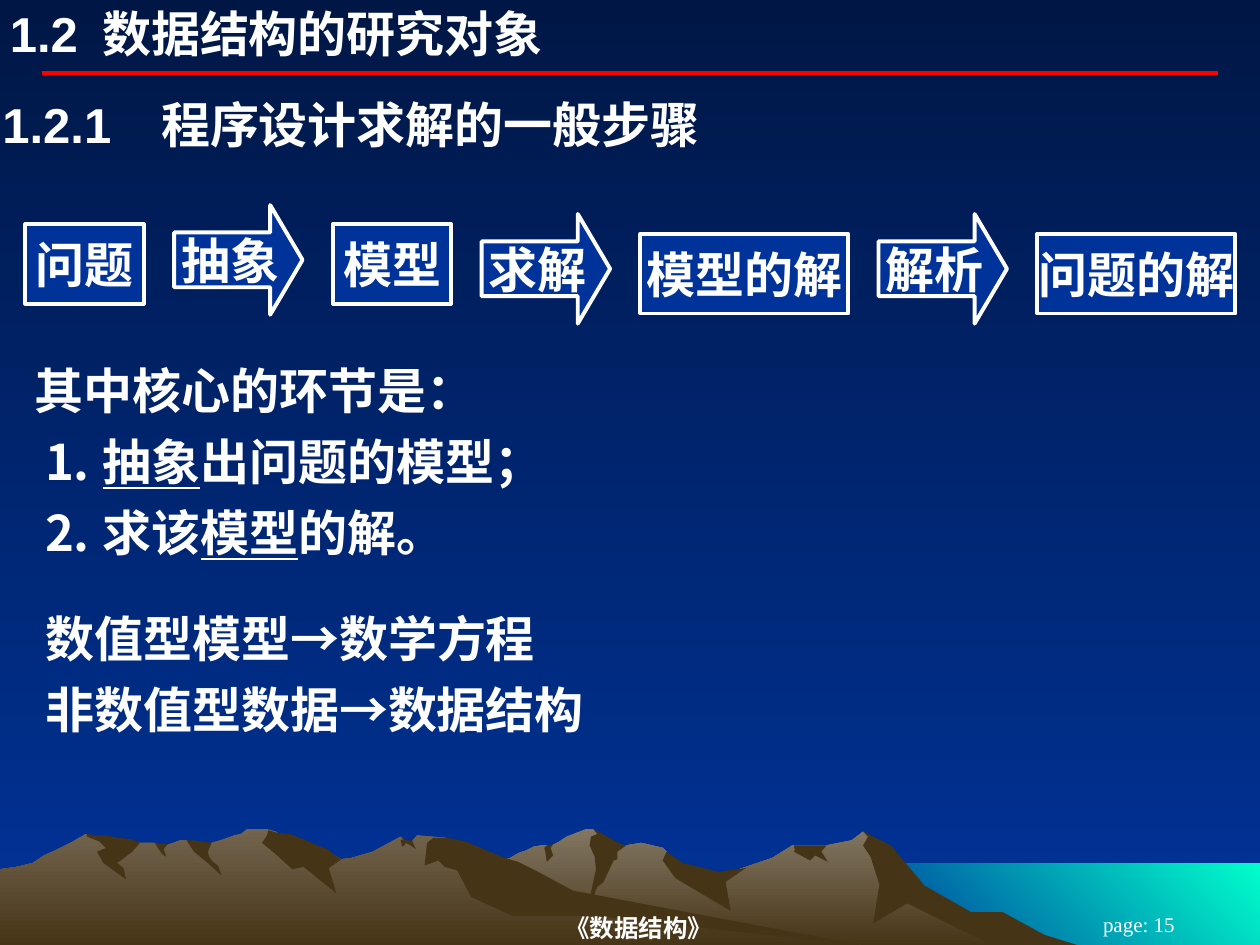
from pptx import Presentation
from pptx.dml.color import RGBColor
from pptx.enum.shapes import MSO_CONNECTOR, MSO_SHAPE
from pptx.enum.text import MSO_ANCHOR, PP_ALIGN
from pptx.oxml.ns import qn
from pptx.util import Cm, Pt
from lxml.etree import SubElement

HEX = {"night": "001746", "blue": "003399", "sea": "00FFCC", "red": "FF0000",
       "white": "FFFFFF", "earth": "463416", "sand": "837763", "rock": "72644E"}
SANS, SERIF, HAN = "Arial", "Times New Roman", "Noto Sans CJK SC"

SEA = "1000,752 683,752 683,685 1000,685"
FAR = """802,740 778,727 764,723 723,698 702,671 685,660 676,667 656,671 629,671
613,681 566,697 536,690 529,676 526,673 509,669 497,671 486,673 474,661 471,658
465,658 450,664 444,668 438,671 430,671 424,672 418,675 412,677 405,681 399,683
394,685 355,698 327,709 277,739 258,751 821,751"""
NEAR = """690,751 667,748 432,712 354,665 331,663 327,668 323,668 318,664 296,676
279,681 271,682 260,676 236,681 223,663 219,660 212,658 196,658 191,662 186,663
178,666 168,669 160,671 148,667 143,667 132,671 128,671 123,669 111,669 94,671
68,662 56,669 46,674 35,679 26,685 14,688 0,690 0,751"""
FAR_SHADE = [
    """796,724 771,724 734,703 707,671 685,660 689,664 685,671 691,680 698,702
    693,733 720,717 792,752 858,751 829,742""",
    """471,658 474,662 469,664 468,671 472,680 473,690 465,727 474,704 479,700
    487,683 490,682 490,676 497,671 493,670""",
    "529,676 526,683 536,697 580,723 576,700 592,689 570,692 542,685",
    "650,671 630,671 631,675 630,676 643,683 647,679 657,684 652,676 656,671",
    "433,677 432,673 434,671 439,670 437,673 439,679 434,684",
]
NEAR_SHADE = [
    """212,663 208,669 219,678 232,690 241,688 267,709 261,689 271,682 266,679
    260,674 252,671 238,665 230,662 220,661 213,659""",
    """370,668 361,666 354,665 344,665 339,669 337,687 348,683 353,688 363,691
    374,712 407,727 472,727 690,751 683,750 455,707 427,692 411,684 401,681 386,675""",
    "318,667 320,666 318,664 323,667 327,667 330,674 326,671 322,669 321,671 319,672",
    "154,667 161,668 168,669 165,676 166,680 169,684 173,687 176,695 165,685 154,676 148,667",
    "133,670 130,674 132,680 129,678 126,674 123,669",
    """109,668 111,669 105,676 93,685 98,689 100,698 82,685 77,676 84,673 79,668
    69,664 69,662 77,663 84,663 94,665 104,666""",
]


class Deck:
    def __init__(self):
        self.prs = Presentation()
        self.prs.slide_width, self.prs.slide_height = Cm(25.4), Cm(19.05)
        self.slide = self.prs.slides.add_slide(self.prs.slide_layouts[5])
        self.shapes = self.slide.shapes

    def rgb(self, name):
        return RGBColor.from_string(HEX[name])

    def blend(self, fill, first, last, turn=90):
        fill.gradient()
        fill.gradient_angle = 360 - turn
        for stop, name, pos in zip(fill.gradient_stops, (first, last), (0, 1)):
            stop.color.rgb = self.rgb(name)
            stop.position = pos

    def land(self, text, *names, turn=90):
        pts = [tuple(map(int, pair.split(","))) for pair in text.split()]
        path = self.shapes.build_freeform(*pts[0], scale=Cm(2.54) / 100)
        path.add_line_segments(pts[1:], close=True)
        shape = path.convert_to_shape()
        shape.shadow.inherit = False
        shape.line.fill.background()
        if len(names) == 2:
            self.blend(shape.fill, *names, turn=turn)
        else:
            shape.fill.solid()
            shape.fill.fore_color.rgb = self.rgb(names[0])

    def rule(self, x1, x2, y):
        line = self.shapes.add_connector(MSO_CONNECTOR.STRAIGHT, Cm(x1), Cm(y), Cm(x2), Cm(y))
        line.line.color.rgb = self.rgb("red")
        line.line.width = Pt(2.25)
        SubElement(line._element.spPr, qn("a:effectLst"))

    def frame(self, shape, pad=(0, 0), anchor=MSO_ANCHOR.TOP, wrap=True):
        frame = shape.text_frame
        frame.margin_left = frame.margin_right = Cm(pad[0])
        frame.margin_top = frame.margin_bottom = Cm(pad[1])
        frame.vertical_anchor = anchor
        frame.word_wrap = wrap
        return frame

    def para(self, para, runs, left=0, hang=0, align=PP_ALIGN.LEFT, size=28, bold=True):
        props = para._p.get_or_add_pPr()
        props.set("marL", str(Cm(left + hang)))
        props.set("indent", str(-Cm(hang)))
        para.alignment = align
        for text, face, under in runs:
            run = para.add_run()
            run.text = text
            font = run.font
            font.name, font.size, font.bold = face, Pt(size), bold
            font.color.rgb = self.rgb("white")
            if under:
                font.underline = True
            SubElement(run._r.get_or_add_rPr(), qn("a:ea")).set("typeface", HAN)

    def title(self, text, box, hang):
        shape = self.shapes.title
        shape.left, shape.top, shape.width, shape.height = map(Cm, box)
        frame = self.frame(shape)
        self.para(frame.paragraphs[0], [(text, SANS, False)], hang=hang)

    def text(self, box, paras, pad=(0.05, 0.03), anchor=MSO_ANCHOR.TOP, **look):
        frame = self.frame(self.shapes.add_textbox(*map(Cm, box)), pad, anchor)
        for i, (runs, left, hang) in enumerate(paras):
            para = frame.add_paragraph() if i else frame.paragraphs[0]
            if i:
                para.space_before = Pt(7)
            self.para(para, runs, left, hang, **look)

    def step(self, kind, text, x, mid, wide, high):
        shape = self.shapes.add_shape(kind, Cm(x), Cm(mid - high / 2), Cm(wide), Cm(high))
        if kind == MSO_SHAPE.RIGHT_ARROW:
            shape.adjustments[0], shape.adjustments[1] = 0.5, 0.295
        shape.shadow.inherit = False
        shape.fill.solid()
        shape.fill.fore_color.rgb = self.rgb("blue")
        shape.line.color.rgb = self.rgb("white")
        shape.line.width = Pt(2.25)
        frame = self.frame(shape, (0.25, 0.13), MSO_ANCHOR.MIDDLE, False)
        self.para(frame.paragraphs[0], [(text, SANS, False)], align=PP_ALIGN.CENTER)


def main():
    deck = Deck()
    deck.blend(deck.slide.background.fill, "night", "blue")
    deck.land(SEA, "sea", "blue", turn=135)
    deck.land(FAR, "sand", "earth")
    for shade in FAR_SHADE:
        deck.land(shade, "earth")
    deck.land(NEAR, "rock", "earth")
    for shade in NEAR_SHADE:
        deck.land(shade, "earth")
    deck.rule(0.85, 24.55, 1.48)

    foot = dict(anchor=MSO_ANCHOR.MIDDLE, align=PP_ALIGN.CENTER)
    deck.text((5.18, 18.34, 15.4, 0.71), [([("《数据结构》", SERIF, False)], 0, 0)], size=14, **foot)
    deck.text((20.95, 18.42, 4.02, 0.43), [([("page: 15", SERIF, False)], 0, 0)],
              size=12, bold=False, **foot)

    deck.title("1.2\t数据结构的研究对象", (0.2, 0.08, 16.51, 1.19), 1.86)
    deck.text((0, 1.88, 25.4, 1.24), [([("1.2.1\t程序设计求解的一般步骤", SANS, False)], 0, 3.2)])
    deck.text((0, 7.24, 25.4, 4.11), [
        ([("其中核心的环节是：", HAN, False)], 0.65, 0),
        ([("1.\t", HAN, False), ("抽象", HAN, True), ("出问题的模型；", HAN, False)], 0.86, 1.16),
        ([("2.\t求该", HAN, False), ("模型", HAN, True), ("的解。", HAN, False)], 0.86, 1.16),
    ])
    deck.text((0, 12.24, 25.4, 2.69), [
        ([("数值型模型", HAN, False), ("→数学方程", SANS, False)], 0.87, 0),
        ([("非数值型数据", HAN, False), ("→数据结构", SANS, False)], 0.87, 0),
    ])

    box, arrow = (MSO_SHAPE.FLOWCHART_PROCESS, 1.6), (MSO_SHAPE.RIGHT_ARROW, 2.21)
    x, gap = 0.51, 0.61
    for (kind, high), text, mid, wide in [
        (box, "问题", 5.32, 2.39), (arrow, "抽象", 5.24, 2.59),
        (box, "模型", 5.32, 2.39), (arrow, "求解", 5.42, 2.59),
        (box, "模型的解", 5.52, 4.19), (arrow, "解析", 5.42, 2.59),
        (box, "问题的解", 5.52, 3.99),
    ]:
        deck.step(kind, text, x, mid, wide, high)
        x += wide + gap
    deck.prs.save("out.pptx")


if __name__ == "__main__":
    main()
